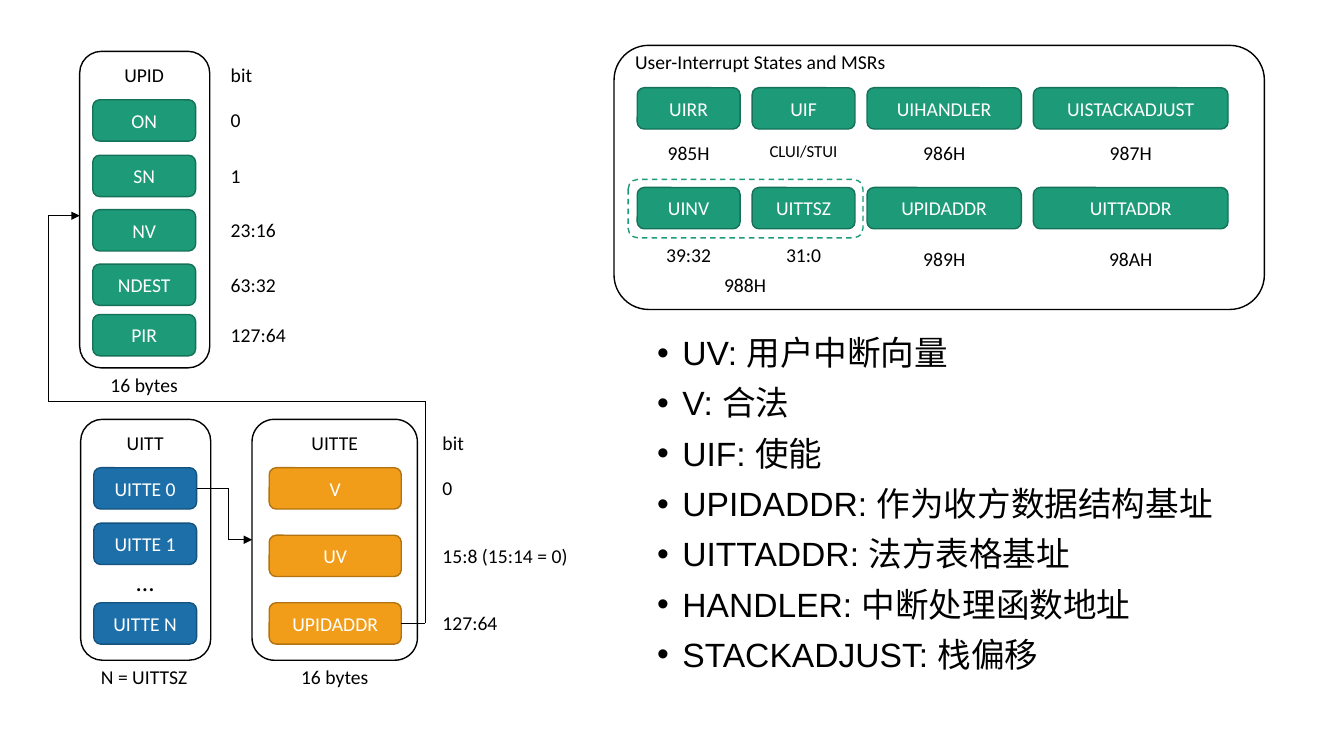
from lxml.etree import SubElement
from pptx import Presentation
from pptx.dml.color import RGBColor
from pptx.enum.dml import MSO_LINE_DASH_STYLE as Dash
from pptx.enum.shapes import MSO_CONNECTOR_TYPE as Connector, MSO_SHAPE as Shape
from pptx.enum.text import MSO_ANCHOR as Anchor, MSO_AUTO_SIZE as AutoSize, PP_ALIGN as Align
from pptx.oxml.ns import qn
from pptx.util import Inches, Pt

COLORS = {
    "black": "000000", "white": "FFFFFF",
    "green": "1D9A78", "green edge": "157259",
    "blue": "1D6FA9", "blue edge": "15527D",
    "orange": "F19D19", "orange edge": "B27412",
}
CELL = Inches(0.1)
TOP, LEFT, BOTTOM, RIGHT = range(4)
CARD_HEIGHT, LABEL_HEIGHT = 4.1, 3.4
LABEL_DROP = (CARD_HEIGHT - LABEL_HEIGHT) / 2

UPID_FIELDS = [("ON", 9.9, "0"), ("SN", 15.4, "1"), ("NV", 20.8, "23:16"),
               ("NDEST", 26.2, "63:32"), ("PIR", 31.2, "127:64")]
UITT_ENTRIES = [("UITTE 0", 46.4), ("UITTE 1", 51.9), ("UITTE N", 59.8)]
UITTE_FIELDS = [("V", "0"), ("UV", "15:8 (15:14 = 0)"), ("UPIDADDR", "127:64")]
REGISTER_WIDTHS = [10.2, 10.2, 15.3, 19.3]
REGISTER_ROWS = [
    (8.7, [("UIRR", "985H", 13.5), ("UIF", "CLUI/STUI", 13.5),
           ("UIHANDLER", "986H", 13.5), ("UISTACKADJUST", "987H", 13.5)]),
    (18.6, [("UINV", "39:32", 23.6), ("UITTSZ", "31:0", 23.6),
            ("UPIDADDR", "989H", 24), ("UITTADDR", "98AH", 24)]),
]
GLOSSARY = ["UV: 用户中断向量", "V: 合法", "UIF: 使能", "UPIDADDR: 作为收方数据结构基址",
            "UITTADDR: 法方表格基址", "HANDLER: 中断处理函数地址", "STACKADJUST: 栈偏移"]


def apply(target, values):
    for name, value in values.items():
        setattr(target, name, value)


def cells(*counts):
    return [round(count * CELL) for count in counts]


def rgb(color):
    return RGBColor.from_string(COLORS[color])


class Diagram:
    label_frame = {"word_wrap": True, "auto_size": AutoSize.SHAPE_TO_FIT_TEXT}
    card_frame = {"word_wrap": True, "vertical_anchor": Anchor.MIDDLE}
    bullet_paragraph = {"line_spacing": 0.9, "space_before": Pt(10)}
    bullet_indent = {"marL": str(Inches(0.25)), "indent": str(-Inches(0.25))}

    def __init__(self, slide):
        self.shapes = slide.shapes

    def wording(self, paragraph, text, size=14, color="black", align=Align.LEFT, font="Calibri"):
        paragraph.alignment = align
        run = paragraph.add_run()
        run.text = text
        apply(run.font, {"name": font, "size": Pt(size)})
        run.font.color.rgb = rgb(color)

    def box(self, col, row, width, height, fill="white", edge="black", corner=None, dash=None):
        outline = self.shapes.add_shape(Shape.ROUNDED_RECTANGLE, *cells(col, row, width, height))
        outline.shadow.inherit = False
        outline.fill.solid()
        outline.fill.fore_color.rgb = rgb(fill)
        apply(outline.line, {"width": Pt(1), "dash_style": dash})
        outline.line.color.rgb = rgb(edge)
        if corner:
            outline.adjustments[0] = corner
        return outline

    def card(self, text, col, row, width, color):
        card = self.box(col, row, width, CARD_HEIGHT, color, color + " edge")
        apply(card.text_frame, self.card_frame)
        self.wording(card.text_frame.paragraphs[0], text, color="white", align=Align.CENTER)
        return card

    def label(self, text, col, row, width, align=Align.CENTER, size=14):
        height = LABEL_HEIGHT * size / 14
        frame = self.shapes.add_textbox(*cells(col, row, width, height)).text_frame
        apply(frame, self.label_frame)
        self.wording(frame.paragraphs[0], text, size, align=align)

    def route(self, points, start=None, end=None):
        last = len(points) - 2
        for step, (begin, finish) in enumerate(zip(points, points[1:])):
            segment = self.shapes.add_connector(Connector.STRAIGHT, *cells(*begin, *finish))
            segment.line.width = Pt(0.5)
            segment.line.color.rgb = rgb("black")
            properties = segment._element.spPr
            if step == last:
                SubElement(properties.find(qn("a:ln")), qn("a:tailEnd"), type="triangle")
            SubElement(properties, qn("a:effectLst"))
            if step == 0 and start:
                segment.begin_connect(start, RIGHT)
            if step == last and end:
                segment.end_connect(end, LEFT)

    def bullets(self, lines, col, row, width, height):
        frame = self.shapes.add_textbox(*cells(col, row, width, height)).text_frame
        frame.word_wrap = True
        for index, line in enumerate(lines):
            paragraph = frame.add_paragraph() if index else frame.paragraphs[0]
            self.wording(paragraph, line, 24, font="Arial")
            apply(paragraph, self.bullet_paragraph)
            properties = paragraph._p.get_or_add_pPr()
            for name, value in self.bullet_indent.items():
                properties.set(name, value)
            SubElement(properties, qn("a:buFont"), typeface="Arial")
            SubElement(properties, qn("a:buChar"), char="•")


def draw_upid(diagram):
    diagram.box(7.9, 5.1, 12.9, 31.4)
    diagram.label("UPID", 10.4, 5.8, 7.8)
    diagram.label("bit", 21.9, 5.8, 7.8, Align.LEFT)
    for name, row, bits in UPID_FIELDS:
        diagram.card(name, 9.2, row, 10.2, "green")
        diagram.label(bits, 21.9, row + LABEL_DROP, 16.9, Align.LEFT)
    diagram.label("16 bytes", 7.9, 36.5, 12.8)


def draw_uitt(diagram):
    diagram.box(8, 41.6, 12.9, 23.9)
    diagram.label("UITT", 10.5, 42.3, 7.8)
    entries = [diagram.card(name, 9.3, row, 10.2, "blue") for name, row in UITT_ENTRIES]
    diagram.label("...", 11.6, 55.7, 5.6, size=18)
    diagram.label("N = UITTSZ", 7.9, 65.5, 12.8)
    return entries[0]


def draw_uitte(diagram):
    entry = diagram.box(25, 41.6, 16.4, 23.9, corner=0.135)
    diagram.label("UITTE", 29.3, 42.3, 7.8)
    diagram.label("bit", 42.9, 42.3, 7.8, Align.LEFT)
    for index, (name, bits) in enumerate(UITTE_FIELDS):
        row = 46.4 + 6.7 * index
        field = diagram.card(name, 26.7, row, 13.1, "orange")
        diagram.label(bits, 42.9, row + LABEL_DROP, 15.5, Align.LEFT)
    diagram.label("16 bytes", 25, 65.5, 16.4)
    return entry, field


def draw_registers(diagram):
    diagram.box(60.9, 4.5, 64.5, 26.2, corner=0.131)
    diagram.box(62.3, 17.8, 23.3, 5.8, edge="green", dash=Dash.DASH)
    diagram.label("User-Interrupt States and MSRs", 62, 4.5, 31.3, Align.LEFT)
    for row, registers in REGISTER_ROWS:
        col = 63.2
        for width, (name, caption, caption_row) in zip(REGISTER_WIDTHS, registers):
            diagram.card(name, col, row, width, "green")
            caption_width, size = (10.4, 12) if "/" in caption else (8.8, 14)
            diagram.label(caption, col + (width - caption_width) / 2, caption_row, caption_width, size=size)
            col += width + 1.2
    diagram.label("988H", 69.5, 26.6, 8.8)


def main():
    deck = Presentation()
    apply(deck, {"slide_width": Inches(13.33), "slide_height": Inches(7.5)})
    diagram = Diagram(deck.slides.add_slide(deck.slide_layouts[6]))
    draw_upid(diagram)
    first_entry = draw_uitt(diagram)
    entry, address_field = draw_uitte(diagram)
    diagram.route([(19.5, 48.45), (22.7, 48.45), (22.7, 53.55), (25, 53.55)], first_entry, entry)
    diagram.route([(39.8, 61.85), (42.2, 61.85), (42.2, 39.8), (4.8, 39.8), (4.8, 21.4), (7.9, 21.4)],
                  address_field)
    draw_registers(diagram)
    diagram.bullets(GLOSSARY, 64.2, 32.9, 66, 41)
    deck.save("out.pptx")


if __name__ == "__main__":
    main()
